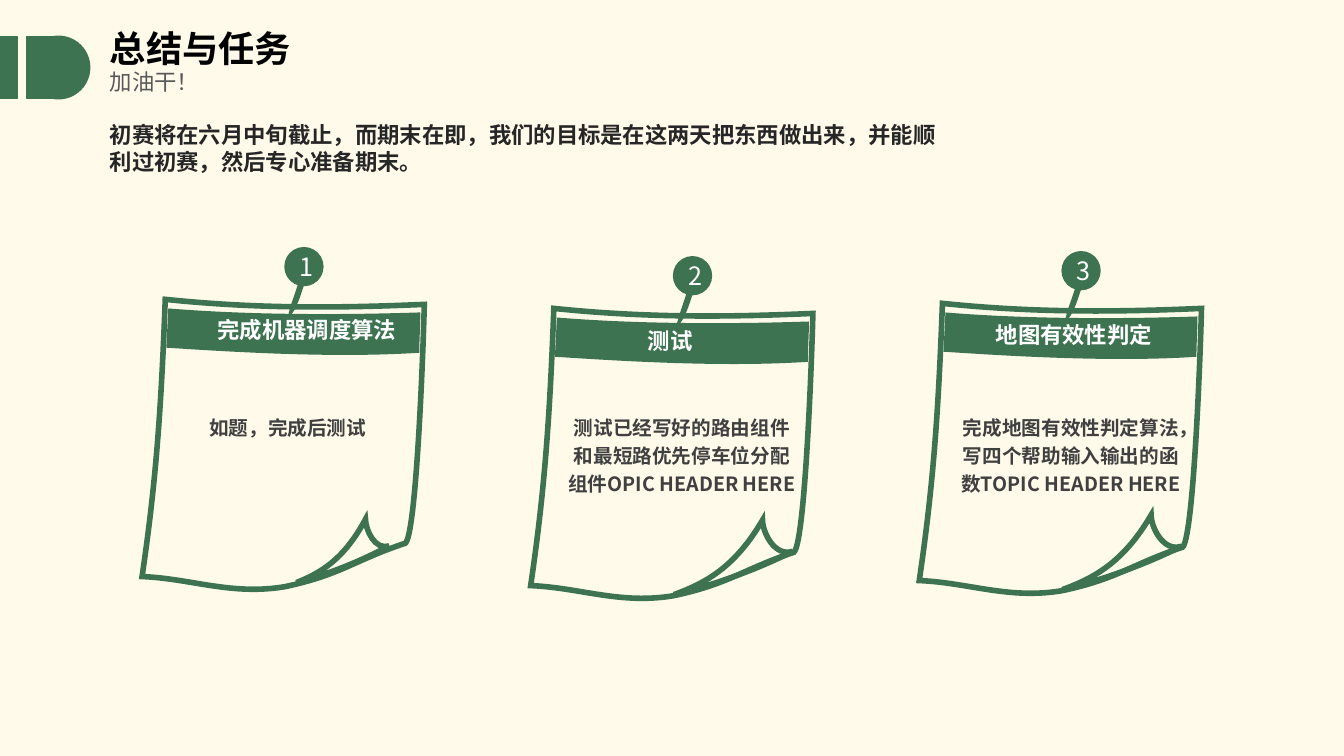
"""Build the summary slide: a heading, a goal and three pinned task notes."""
import lxml.etree
import pptx
import pptx.dml.color
import pptx.enum.shapes
import pptx.enum.text
import pptx.oxml.ns
import pptx.util

COLORS = {"cream": "FFFAEA", "green": "3D7351", "black": "000000", "grey": "595959",
          "ink": "262626", "body": "404040", "white": "FFFFFF"}
FONT = "Noto Sans CJK SC"
ALIGN = pptx.enum.text.PP_ALIGN
ANCHOR = pptx.enum.text.MSO_ANCHOR
SHAPE = pptx.enum.shapes.MSO_SHAPE
Inches = pptx.util.Inches
qn = pptx.oxml.ns.qn
rgb = pptx.dml.color.RGBColor.from_string


def write(holder, text, size=16, color="white", bold=False, align=ALIGN.LEFT,
          anchor=ANCHOR.TOP, spacing=1.0, before=0, inset=None, wrap=True):
    """Fill a shape with one formatted paragraph."""
    frame = holder.text_frame
    frame.word_wrap = wrap
    frame.auto_size = pptx.enum.text.MSO_AUTO_SIZE.NONE
    frame.vertical_anchor = anchor
    if inset is not None:
        frame.margin_left = Inches(inset)
        frame.margin_right = frame.margin_top = frame.margin_bottom = 0
    paragraph = frame.paragraphs[0]
    paragraph.alignment = align
    paragraph.line_spacing = spacing
    paragraph.space_before = pptx.util.Pt(before)
    run = paragraph.add_run()
    run.text = text
    run.font.size = pptx.util.Pt(size)
    run.font.bold = bold
    run.font.color.rgb = rgb(COLORS[color])
    run.font.name = FONT
    lxml.etree.SubElement(run.font.fill._xPr, qn("a:ea"), typeface=FONT)


def draw_outline(shapes, left, top, start, curves, stretch=(1, 1), line_width=0):
    """Draw a closed outline of cubic curves, filled or stroked in green."""
    corners = [start] + [point for curve in curves for point in curve]
    placed = [(Inches(left + x * stretch[0]), Inches(top + y * stretch[1])) for x, y in corners]
    builder = shapes.build_freeform(*placed[0])
    builder.add_line_segments(placed[1:], close=False)
    outline = builder.convert_to_shape()
    segments = list(outline._element.iter(qn("a:lnTo")))
    contour = segments[0].getparent()
    for first in range(0, len(segments), 3):
        bezier = lxml.etree.SubElement(contour, qn("a:cubicBezTo"))
        for segment in segments[first:first + 3]:
            bezier.append(segment[0])
            contour.remove(segment)
    lxml.etree.SubElement(contour, qn("a:close"))
    outline.shadow.inherit = False
    if line_width:
        outline.fill.background()
        outline.line.color.rgb = rgb(COLORS["green"])
        outline.line.width = pptx.util.Pt(line_width)
        lxml.etree.SubElement(outline.line._get_or_add_ln(), qn("a:miter"), lim="800000")
    else:
        outline.fill.solid()
        outline.fill.fore_color.rgb = rgb(COLORS["green"])
        outline.line.fill.background()


deck = pptx.Presentation()
deck.slide_width, deck.slide_height = Inches(7.5 * 16 / 9), Inches(7.5)
slide = deck.slides.add_slide(deck.slide_layouts[0])
slide.background.fill.solid()
slide.background.fill.fore_color.rgb = rgb(COLORS["cream"])
shapes = slide.shapes

for kind, left, width in ((SHAPE.RECTANGLE, 0, 0.17), (SHAPE.RECTANGLE, 0.27, 0.27),
                          (SHAPE.OVAL, 0.27, 0.62)):
    marker = shapes.add_shape(kind, Inches(left), Inches(0.36), Inches(width), Inches(0.62))
    marker.shadow.inherit = False
    marker.fill.solid()
    marker.fill.fore_color.rgb = marker.line.color.rgb = rgb(COLORS["green"])
    marker.line.width = pptx.util.Pt(1)

MARGIN = 0.99
title, subtitle = shapes.title, slide.placeholders[1]
for heading, top, height in ((title, 0.28, 0.47), (subtitle, 0.67, 0.33)):
    heading.left, heading.top = Inches(MARGIN), Inches(top)
    heading.width, heading.height = Inches(8.62), Inches(height)
write(title, "总结与任务", size=25.9, color="black", bold=True, anchor=ANCHOR.MIDDLE, spacing=0.8)
write(subtitle, "加油干！", color="grey", anchor=ANCHOR.MIDDLE, spacing=0.8)

goal = shapes.add_textbox(Inches(MARGIN), Inches(1.15), Inches(8.49), Inches(0.64))
write(goal, "初赛将在六月中旬截止，而期末在即，我们的目标是在这两天把东西做出来，"
            "并能顺利过初赛，然后专心准备期末。", color="ink", bold=True)

SHEET = ((0.23, 0), [((1.09, 0.09), (1.89, 0.09), (2.8, 0.05)),
                     ((2.78, 0.81), (2.71, 2.36), (2.61, 2.42)),
                     ((2.1, 2.59), (1.98, 2.73), (1.42, 2.85)),
                     ((0.89, 2.94), (0.49, 2.77), (0, 2.75)),
                     ((0.14, 1.8), (0.19, 1.08), (0.23, 0))])
CURL = ((0, 0), [((0.3, -0.11), (0.6, -0.26), (0.88, -0.74)),
                 ((0.88, -0.62), (1, -0.37), (1.18, -0.43)),
                 ((0.83, -0.25), (0.35, -0.08), (0, 0))])
BAND = ((0.26, 0.09), [((0.98, 0.15), (1.86, 0.16), (2.76, 0.13)),
                       ((2.76, 0.27), (2.75, 0.39), (2.75, 0.53)),
                       ((1.85, 0.59), (0.72, 0.51), (0.24, 0.48))])
NEEDLE = ((1.55, -0.16), [((1.46, 0.11), (1.47, 0.07), (1.44, 0.2)),
                          ((1.54, 0.1), (1.57, -0.04), (1.61, -0.15))])
FIRST_LEFT, LAST_LEFT, FIRST_TOP = 1.41, 9.12, 2.97
PITCH = (LAST_LEFT - FIRST_LEFT) / 2
BALL = 0.39

notes = [
    (0, (1.53, 2.81), (0.78, 0.85), "完成机器调度算法", (2.06, 3.09, 2.06), 1.71,
     "如题，完成后测试"),
    (0.09, (1.42, 2.84), (1, 1), "测试", (6.33, 3.2, 1.69), 5.62,
     "测试已经写好的路由组件和最短路优先停车位分配组件OPIC HEADER HERE"),
    (0.04, (1.42, 2.84), (1, 1), "地图有效性判定", (9.78, 3.14, 1.93), 9.48,
     "完成地图有效性判定算法，写四个帮助输入输出的函数TOPIC HEADER HERE"),
]
for column, (drop, curl_at, curl_stretch, task, task_at, detail_left, detail) in enumerate(notes):
    left, top = FIRST_LEFT + column * PITCH, FIRST_TOP + drop
    draw_outline(shapes, left, top, *SHEET, line_width=4)
    draw_outline(shapes, left + curl_at[0], top + curl_at[1], *CURL,
                 stretch=curl_stretch, line_width=4)
    draw_outline(shapes, left, top, *BAND)
    draw_outline(shapes, left, top, *NEEDLE)

    ball = shapes.add_shape(SHAPE.OVAL, Inches(left + 1.41), Inches(top - 0.52),
                            Inches(BALL), Inches(BALL))
    ball.shadow.inherit = False
    ball.fill.solid()
    ball.fill.fore_color.rgb = rgb(COLORS["green"])
    ball.line.fill.background()
    write(ball, str(column + 1), size=18, align=ALIGN.CENTER, anchor=ANCHOR.MIDDLE,
          inset=0.05, wrap=False)

    task_left, task_top, task_width = task_at
    task_box = shapes.add_textbox(Inches(task_left), Inches(task_top),
                                  Inches(task_width), Inches(0.37))
    write(task_box, task, bold=True)
    detail_box = shapes.add_textbox(Inches(detail_left), Inches(4.08), Inches(2.29),
                                    Inches(0.83 if column else 0.26))
    write(detail_box, detail, size=14, color="body", bold=True, align=ALIGN.CENTER,
          spacing=1.2, before=3, inset=0)

deck.save("out.pptx")
